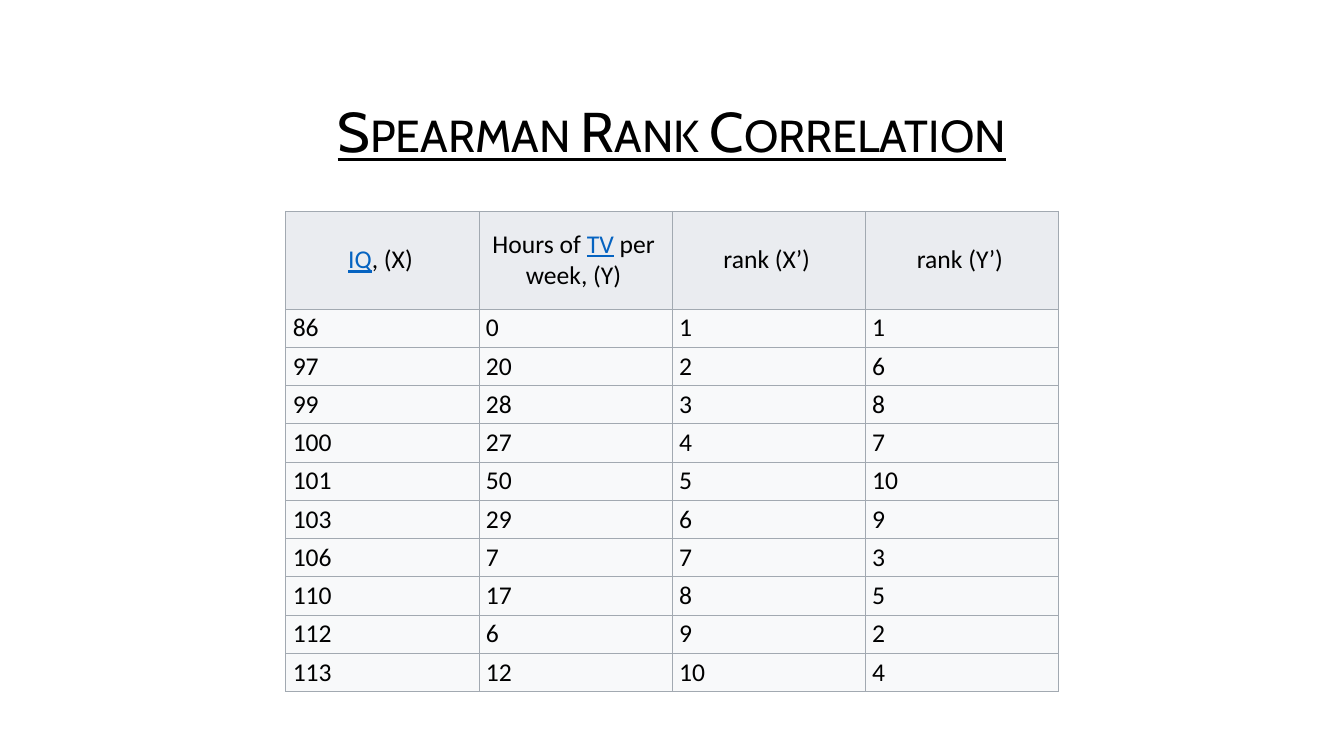
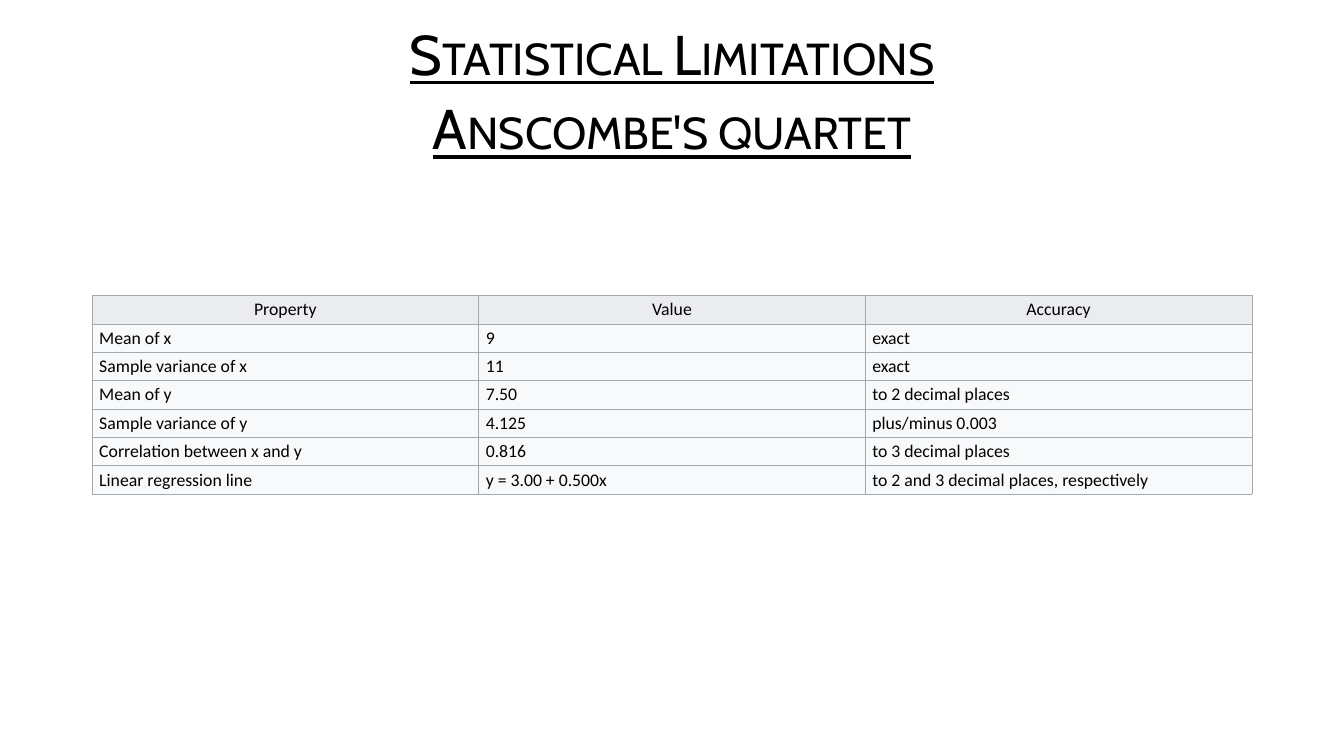
import pptx
import pptx.dml.color
import pptx.enum.text
import pptx.oxml
import pptx.oxml.ns
import pptx.util
from pptx.util import Inches

THEME = {
    "title": {"name": "Cabin", "size": pptx.util.Pt(56.9), "underline": True},
    "body_font": "Calibri",
    "large": pptx.util.Pt(26),
    "small": pptx.util.Pt(18),
    "text": pptx.dml.color.RGBColor.from_string("000000"),
    "link": pptx.dml.color.RGBColor.from_string("0563C1"),
    "header_fill": pptx.dml.color.RGBColor.from_string("EAECF0"),
    "body_fill": pptx.dml.color.RGBColor.from_string("F8F9FA"),
    "border": "A2A9B1",
    "border_width": pptx.util.Pt(0.5),
}
CENTER = pptx.enum.text.PP_ALIGN.CENTER
LEFT = pptx.enum.text.PP_ALIGN.LEFT
MIDDLE = pptx.enum.text.MSO_ANCHOR.MIDDLE


def add_title(slide, lines, top, height):
    """Centred, underlined small-capital title, one paragraph per line."""
    shape = slide.shapes.add_textbox(Inches(2.48), Inches(top), Inches(14), Inches(height))
    frame = shape.text_frame
    frame.word_wrap = True
    frame.vertical_anchor = MIDDLE
    for index, line in enumerate(lines):
        paragraph = frame.paragraphs[0] if index == 0 else frame.add_paragraph()
        paragraph.alignment = CENTER
        paragraph.line_spacing = 0.9
        paragraph.space_before = pptx.util.Pt(14.2 if index else 0)
        run = paragraph.add_run()
        run.text = line
        for name, value in THEME["title"].items():
            setattr(run.font, name, value)
        run.font.color.rgb = THEME["text"]
        run.font._element.set("cap", "small")


def add_grid(slide, rows, left, top, width, row_heights, size, header_margins=None):
    """Bordered table; a cell is a string or a list of (text, is_link) parts."""
    columns = len(rows[0])
    table = slide.shapes.add_table(len(rows), columns, Inches(left), Inches(top),
                                   Inches(width), Inches(sum(row_heights))).table
    table.first_row = table.horz_banding = False
    for column in table.columns:
        column.width = Inches(width / columns)
    for row_index, row in enumerate(rows):
        header = row_index == 0
        table.rows[row_index].height = Inches(row_heights[row_index])
        for column_index, content in enumerate(row):
            cell = table.cell(row_index, column_index)
            cell.vertical_anchor = MIDDLE
            if header and header_margins:
                for name, value in header_margins.items():
                    setattr(cell, name, value)
            # Borders come before the fill in the cell properties
            properties = cell._tc.get_or_add_tcPr()
            for side in ("lnL", "lnR", "lnT", "lnB"):
                properties.append(pptx.oxml.parse_xml(
                    f'<a:{side} {pptx.oxml.ns.nsdecls("a")} w="{THEME["border_width"]}">'
                    f'<a:solidFill><a:srgbClr val="{THEME["border"]}"/></a:solidFill></a:{side}>'))
            cell.fill.solid()
            cell.fill.fore_color.rgb = THEME["header_fill" if header else "body_fill"]
            paragraph = cell.text_frame.paragraphs[0]
            paragraph.alignment = CENTER if header else LEFT
            parts = [(content, False)] if isinstance(content, str) else content
            for text, is_link in parts:
                run = paragraph.add_run()
                run.text = text
                font_format = {"name": THEME["body_font"], "size": size, "underline": is_link}
                for name, value in font_format.items():
                    setattr(run.font, name, value)
                run.font.color.rgb = THEME["link" if is_link else "text"]


presentation = pptx.Presentation()
presentation.slide_width = Inches(18.96)
presentation.slide_height = Inches(10.67)
blank = presentation.slide_layouts[6]

# Slide 1: ranked IQ and television hours
slide = presentation.slides.add_slide(blank)
add_title(slide, ["Spearman Rank Correlation"], 1.29, 1.21)
iq_scores = [86, 97, 99, 100, 101, 103, 106, 110, 112, 113]
tv_hours = [0, 20, 28, 27, 50, 29, 7, 17, 6, 12]
rank_rows = [[
    [("IQ", True), (", (X)", False)],
    [("Hours of ", False), ("TV", True), (" per week, (Y)", False)],
    "rank (X’)",
    "rank (Y’)",
]]
for iq, hours in zip(iq_scores, tv_hours):
    ranks = [sorted(iq_scores).index(iq) + 1, sorted(tv_hours).index(hours) + 1]
    rank_rows.append([str(value) for value in [iq, hours, *ranks]])
add_grid(slide, rank_rows, 4.03, 2.98, 10.9, [1.38] + [0.54] * len(iq_scores),
         THEME["large"], {"margin_left": Inches(0.1), "margin_right": Inches(0.15)})

# Slide 2: shared statistics of the quartet
slide = presentation.slides.add_slide(blank)
add_title(slide, ["Statistical Limitations", "Anscombe's quartet"], 0.17, 2.33)
quartet_rows = [
    ["Property", "Value", "Accuracy"],
    ["Mean of x", "9", "exact"],
    ["Sample variance of x", "11", "exact"],
    ["Mean of y", "7.50", "to 2 decimal places"],
    ["Sample variance of y", "4.125", "plus/minus 0.003"],
    ["Correlation between x and y", "0.816", "to 3 decimal places"],
    ["Linear regression line", "y = 3.00 + 0.500x", "to 2 and 3 decimal places, respectively"],
]
add_grid(slide, quartet_rows, 1.3, 4.17, 16.36, [0.4] * len(quartet_rows), THEME["small"])

presentation.save("out.pptx")
